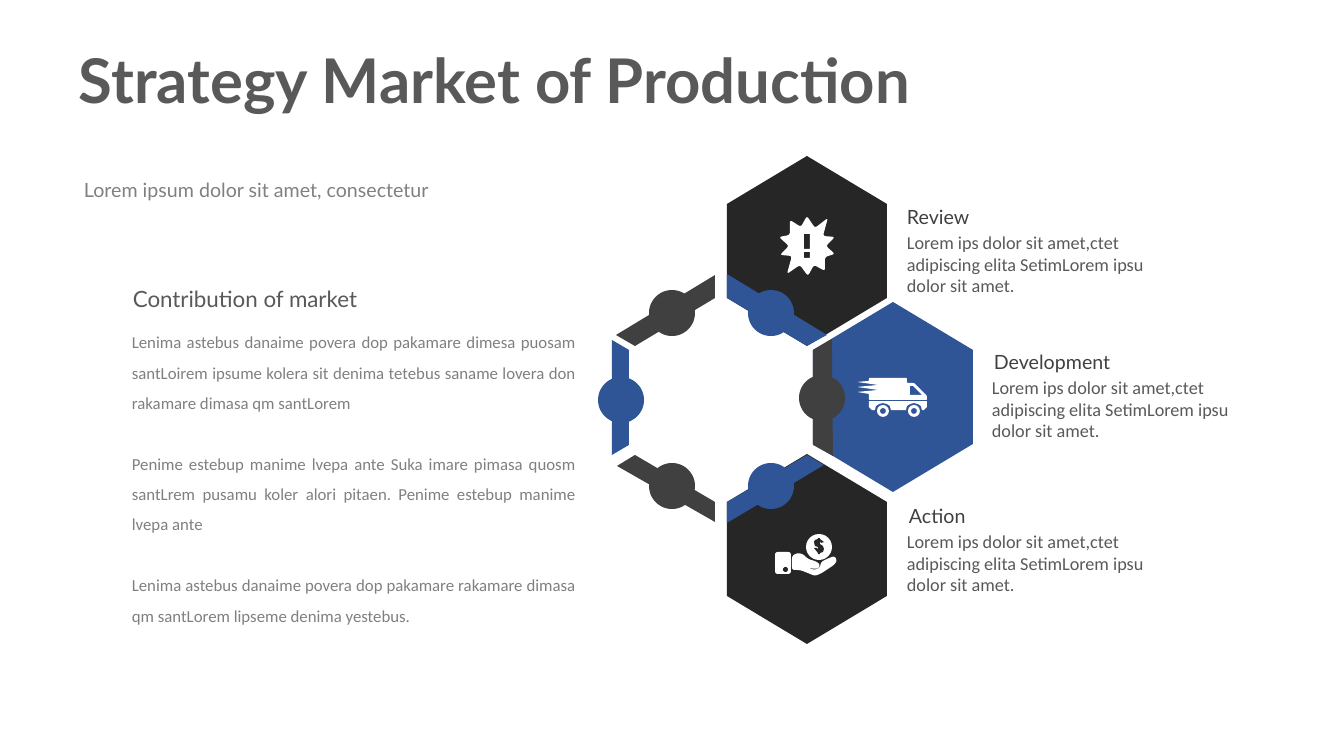
from math import hypot

from pptx import Presentation
from pptx.dml.color import RGBColor
from pptx.enum.shapes import MSO_SHAPE as Shape
from pptx.enum.text import PP_ALIGN as Align
from pptx.util import Pt

PX = 914400 / 100.8
BLACK, GRAY, BLUE, WHITE = "262626", "404040", "2F5597", "FFFFFF"

TITLE = "Strategy Market of Production"
LEAD = "Lorem ipsum dolor sit amet, consectetur"
HEAD = "Contribution of market"
STORY = [
    "Lenima astebus danaime povera dop pakamare dimesa puosam santLoirem ipsume "
    "kolera sit denima tetebus saname lovera don rakamare dimasa qm santLorem",
    "Penime estebup manime lvepa ante Suka imare pimasa quosm santLrem pusamu "
    "koler alori pitaen. Penime estebup manime lvepa ante",
    "Lenima astebus danaime povera dop pakamare rakamare dimasa qm santLorem "
    "lipseme denima yestebus.",
]
NOTE = "Lorem ips dolor sit amet,ctet adipiscing elita SetimLorem ipsu dolor sit amet."
# name, name left, note left, top
STEPS = [("Review", 907, 907, 205), ("Development", 994, 992, 350),
         ("Action", 909, 907, 504)]

# hexagon centre and fill
HEXES = [((807, 251), BLACK), ((893, 397), BLUE), ((807, 549), BLACK)]
HEX_W, HEX_H, HEX_SIDE = 80, 95, 47
# bar outline, dot centre, fill
DOT = 46
BARS = [
    ([(616, 335), (635, 346), (715, 298), (715, 275)], (672, 313), GRAY),
    ([(617, 466), (635, 455), (715, 502), (715, 522)], (672, 486), GRAY),
    ([(727, 274), (727, 298), (807, 346), (827, 335)], (771, 313), BLUE),
    ([(813, 350), (813, 445), (833, 456), (832, 339)], (822, 398), GRAY),
    ([(727, 502), (727, 523), (824, 465), (807, 455)], (771, 486), BLUE),
    ([(612, 455), (629, 445), (629, 350), (612, 340)], (621, 400), BLUE),
]

BURST = [(835, 254), (826, 246), (835, 237), (823, 236), (828, 218), (815, 228),
         (807, 216), (801, 227), (790, 220), (790, 235), (779, 237), (789, 246),
         (780, 255), (792, 256), (787, 274), (800, 265), (808, 276), (814, 265),
         (825, 271), (825, 257)]
MARK = [[(804, 234), (810, 234), (810, 249), (804, 249)],
        [(804, 252), (810, 252), (810, 258), (804, 258)]]
VAN = [(869, 378), (907, 378), (907, 383), (914, 383), (927, 396), (927, 400),
       (869, 400), (869, 394), (857, 392), (878, 390), (857, 387), (878, 385),
       (857, 382), (869, 381)]
WINDOW = [(910, 386), (913, 386), (922, 395), (910, 395)]
WHEELS = [914, 883]
ARCH = [(8, 410), (7, 406), (4, 404), (0, 403), (-4, 404), (-7, 406), (-8, 410)]
BASE = ([(869, 401), (927, 401), (927, 407), (924, 410)]
        + [(mid + dx, y) for mid in WHEELS for dx, y in ARCH]
        + [(872, 410), (869, 407)])
HAND = [(792, 570), (792, 556), (797, 553), (803, 554), (808, 559), (815, 561),
        (820, 564), (819, 568), (814, 569), (807, 567), (814, 570), (820, 568),
        (821, 562), (829, 558), (835, 556), (837, 561), (834, 565), (822, 573),
        (815, 576), (808, 573), (800, 570)]
DOLLAR = [(818, 538), (820, 538), (820, 539), (824, 542), (821, 543), (820, 541),
          (820, 544), (823, 546), (824, 549), (823, 552), (820, 553), (820, 554),
          (818, 554), (818, 553), (814, 548), (817, 548), (818, 550), (818, 547),
          (815, 546), (814, 542), (815, 540), (818, 539)]


def px(n):
    return round(n * PX)


def color(code):
    return RGBColor.from_string(code)


def paint(shape, fill):
    shape.shadow.inherit = False
    shape.fill.solid()
    shape.fill.fore_color.rgb = color(fill)
    shape.line.fill.background()


def preset(kind, x, y, w, h, fill):
    shape = shapes.add_shape(kind, px(x), px(y), px(w), px(h))
    paint(shape, fill)
    return shape


def outline(rings, fill):
    """Draw closed rings as one shape; later rings are holes in the first."""
    rings = [[(px(x), px(y)) for x, y in ring] for ring in rings]
    pen = shapes.build_freeform(*rings[0][0], scale=1.0)
    for i, ring in enumerate(rings):
        if i:
            pen.move_to(*ring[0])
        pen.add_line_segments(ring[1:], close=True)
    paint(pen.convert_to_shape(), fill)


def soften(ring, cut):
    """Replace each corner by a short curve that starts cut px before it."""
    out = []
    for i, (x, y) in enumerate(ring):
        ends = []
        for u, v in (ring[i - 1], ring[(i + 1) % len(ring)]):
            part = min(0.5, cut / hypot(u - x, v - y))
            ends.append((x + (u - x) * part, y + (v - y) * part))
        (ax, ay), (bx, by) = ends
        for t in (0, 0.25, 0.5, 0.75, 1):
            a, m, b = (1 - t) ** 2, 2 * t * (1 - t), t * t
            out.append((a * ax + m * x + b * bx, a * ay + m * y + b * by))
    return out


def write(text, x, y, w, h, size, fill, font="Lato", bold=False, inset=True,
          align=Align.LEFT, lead=None, gap=0):
    frame = shapes.add_textbox(px(x), px(y), px(w), px(h)).text_frame
    frame.word_wrap = True
    if not inset:
        frame.margin_left = frame.margin_right = 0
        frame.margin_top = frame.margin_bottom = 0
    for i, line in enumerate([text] if isinstance(text, str) else text):
        para = frame.add_paragraph() if i else frame.paragraphs[0]
        para.alignment = align
        if lead:
            para.line_spacing = lead
        if i and gap:
            para.space_before = Pt(gap)
        run = para.add_run()
        run.text = line
        run.font.name, run.font.size, run.font.bold = font, Pt(size), bold
        run.font.color.rgb = color(fill)


deck = Presentation()
deck.slide_width, deck.slide_height = px(1344), px(756)
shapes = deck.slides.add_slide(deck.slide_layouts[6]).shapes

write(TITLE, 69, 55, 924, 67, 44, "595959", bold=True, lead=Pt(40))
write(LEAD, 74, 173, 428, 57, 14, "808080")
write(HEAD, 123, 280, 324, 37, 16, "595959")
write(STORY, 122, 317, 464, 315, 12, "808080", font="Calibri",
      align=Align.JUSTIFY, lead=1.5, gap=22)
for name, left, edge, top in STEPS:
    write(name, left, top, 185, 24, 14, GRAY, inset=False)
    write(NOTE, edge, top + 26, 240, 66, 13, "595959", font="Calibri", inset=False)

for (x, y), fill in HEXES:
    outline([[(x, y - HEX_H), (x + HEX_W, y - HEX_SIDE), (x + HEX_W, y + HEX_SIDE),
              (x, y + HEX_H), (x - HEX_W, y + HEX_SIDE), (x - HEX_W, y - HEX_SIDE)]],
            fill)
for bar, (x, y), fill in BARS:
    outline([bar], fill)
    preset(Shape.OVAL, x - DOT / 2, y - DOT / 2, DOT, DOT, fill)

outline([soften(BURST, 3), *MARK], WHITE)

outline([soften(VAN, 1), WINDOW], WHITE)
outline([BASE], WHITE)
for mid in WHEELS:
    preset(Shape.DONUT, mid - 6, 405, 12, 12, WHITE).adjustments[0] = 0.25

preset(Shape.ROUNDED_RECTANGLE, 775, 552, 16, 22, WHITE)
preset(Shape.OVAL, 783, 567, 5, 5, BLACK)
outline([soften(HAND, 3)], WHITE)
preset(Shape.OVAL, 806, 534, 26, 26, WHITE)
outline([DOLLAR], BLACK)

deck.save("out.pptx")
